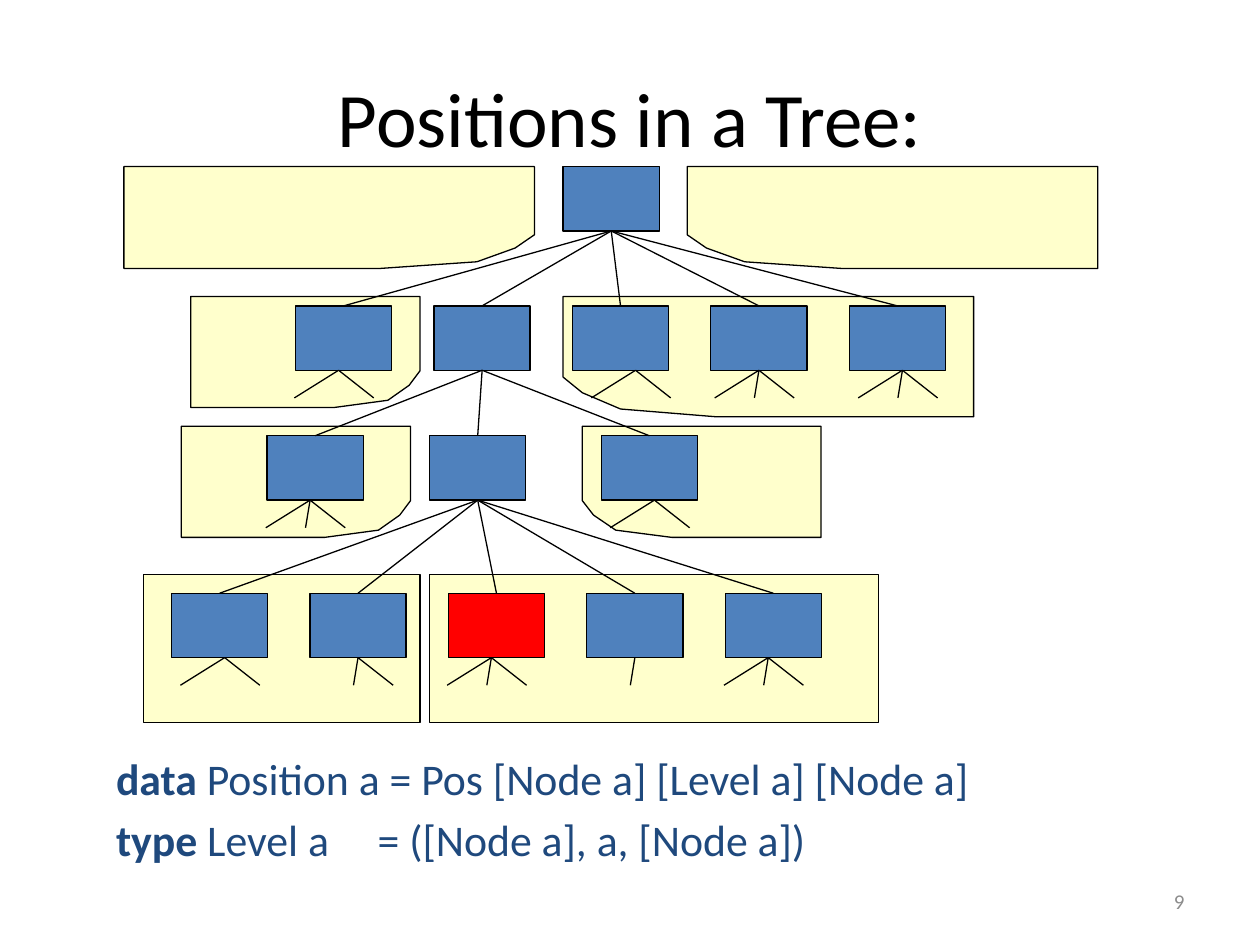
from pptx import Presentation
from pptx.dml.color import RGBColor
from pptx.enum.shapes import MSO_CONNECTOR, MSO_SHAPE
from pptx.enum.text import MSO_ANCHOR as ANCHOR, PP_ALIGN as ALIGN
from pptx.oxml import parse_xml
from pptx.oxml.ns import nsdecls
from pptx.util import Pt

BLACK, BLUE, RED, CREAM, NAVY, GREY = (
    "000000", "4F81BD", "FF0000", "FFFFCC", "1F497D", "8C8C8C")
BOTTOM, TOP = 2, 0
NODE_WIDTH, NODE_HEIGHT = 55, 36.8
SIBLING_STEP = 79.1
TWIG_HEIGHT = 15.8
TWIG_REACH = {"L": -25.3, "M": -2.6, "R": 20.1}


def style(shape, fill=None):
    """Give a shape or connector a thin black line and no shadow."""
    shape.line.color.rgb = RGBColor.from_string(BLACK)
    shape.line.width = Pt(0.75)
    if fill:
        shape.shadow.inherit = False
        shape.fill.solid()
        shape.fill.fore_color.rgb = RGBColor.from_string(fill)
    else:
        shape._element.spPr.append(parse_xml(f"<a:effectLst {nsdecls('a')}/>"))


def add_text(left, top, width, height, lines, size, color, align, anchor):
    """Add a text box; each line is a list of runs, the first bold if several."""
    box = slide.shapes.add_textbox(Pt(left), Pt(top), Pt(width), Pt(height))
    frame = box.text_frame
    frame.word_wrap = True
    frame.vertical_anchor = anchor
    for index, texts in enumerate(lines):
        paragraph = frame.add_paragraph() if index else frame.paragraphs[0]
        paragraph.alignment = align
        if index:
            paragraph.space_before = Pt(5)
        for position, text in enumerate(texts):
            run = paragraph.add_run()
            run.text = text
            run.font.name = "Calibri"
            run.font.size = Pt(size)
            run.font.bold = len(texts) > 1 and position == 0
            run.font.color.rgb = RGBColor.from_string(color)
    return frame


presentation = Presentation()
presentation.slide_width, presentation.slide_height = Pt(720), Pt(540)
slide = presentation.slides.add_slide(presentation.slide_layouts[6])

# Sibling panels with a rounded-off lower corner: left, top, width, height, side
cut_panels = [
    (70.8, 95.2, 234.6, 58.2, "right"), (392.7, 95.2, 234.6, 58.2, "left"),
    (109, 169.4, 131, 63.5, "right"), (321.8, 169.4, 234.6, 68.8, "left"),
    (103.6, 243.6, 131, 63.5, "right"), (332.8, 243.6, 136.4, 63.5, "left"),
]
panel_outline = [(0, 0), (0, 0.67), (0.047, 0.8), (0.14, 0.935),
                 (0.375, 1), (1, 1), (1, 0)]
for left, top, width, height, side in cut_panels:
    points = [(Pt(left + width * (x if side == "left" else 1 - x)),
               Pt(top + height * y)) for x, y in panel_outline]
    builder = slide.shapes.build_freeform(*points[0])
    builder.add_line_segments(points[1:], close=True)
    style(builder.convert_to_shape(), CREAM)

for left, width in [(81.8, 158.2), (245.5, 256.4)]:
    panel = slide.shapes.add_shape(
        MSO_SHAPE.RECTANGLE, Pt(left), Pt(328.2), Pt(width), Pt(84.8))
    style(panel, CREAM)

add_text(36, 21.6, 648, 90, [["Positions in a Tree:"]], 44, BLACK,
         ALIGN.CENTER, ANCHOR.MIDDLE)

# Each level: top, node lefts, twigs per node (strands, offset from the centre),
# and the index of the node whose children form the next level
levels = [
    (95.2, [321.8], [("", 0)], 0),
    (174.8, [168.9 + SIBLING_STEP * i for i in range(5)],
     [("LR", -2.9), ("", 0), ("LR", 8.6), ("LMR", 0), ("LMR", 2.9)], 1),
    (249, [152.6, 245.5, 343.6], [("LMR", -2.9), ("", 0), ("LR", 2.9)], 1),
    (339, [98 + SIBLING_STEP * i for i in range(5)],
     [("LR", 2.9), ("MR", 0), ("LMR", -2.9), ("M", 0), ("LMR", -2.9)], 2),
]
parent = None
for top, lefts, twigs, path_index in levels:
    nodes = []
    for index, (left, (strands, offset)) in enumerate(zip(lefts, twigs)):
        node = slide.shapes.add_shape(
            MSO_SHAPE.RECTANGLE, Pt(left), Pt(top), Pt(NODE_WIDTH), Pt(NODE_HEIGHT))
        is_focus = top == levels[-1][0] and index == path_index
        style(node, RED if is_focus else BLUE)
        nodes.append(node)

        if parent is not None:
            branch = slide.shapes.add_connector(MSO_CONNECTOR.STRAIGHT, 0, 0, 0, 0)
            branch.begin_connect(parent, BOTTOM)
            branch.end_connect(node, TOP)
            style(branch)

        twig_x, twig_y = left + NODE_WIDTH / 2 + offset, top + NODE_HEIGHT
        for strand in strands:
            twig = slide.shapes.add_connector(
                MSO_CONNECTOR.STRAIGHT, Pt(twig_x), Pt(twig_y),
                Pt(twig_x + TWIG_REACH[strand]), Pt(twig_y + TWIG_HEIGHT))
            if offset == 0:
                twig.begin_connect(node, BOTTOM)
            style(twig)
    parent = nodes[path_index]

definitions = add_text(
    59.8, 426.4, 610.6, 73.4,
    [["data", " Position a = Pos [Node a] [Level a] [Node a]"],
     ["type", " Level a\t= ([Node a], a, [Node a])"]],
    25, NAVY, ALIGN.LEFT, ANCHOR.TOP)
definitions.margin_left = definitions.margin_right = Pt(6.5)
definitions.margin_top = definitions.margin_bottom = Pt(3)
definitions.paragraphs[1]._p.get_or_add_pPr().append(parse_xml(
    f'<a:tabLst {nsdecls("a")}><a:tab pos="{Pt(149.5)}" algn="l"/></a:tabLst>'))

add_text(516, 500.5, 168, 28.8, [["9"]], 12, GREY, ALIGN.RIGHT, ANCHOR.MIDDLE)

presentation.save("out.pptx")
